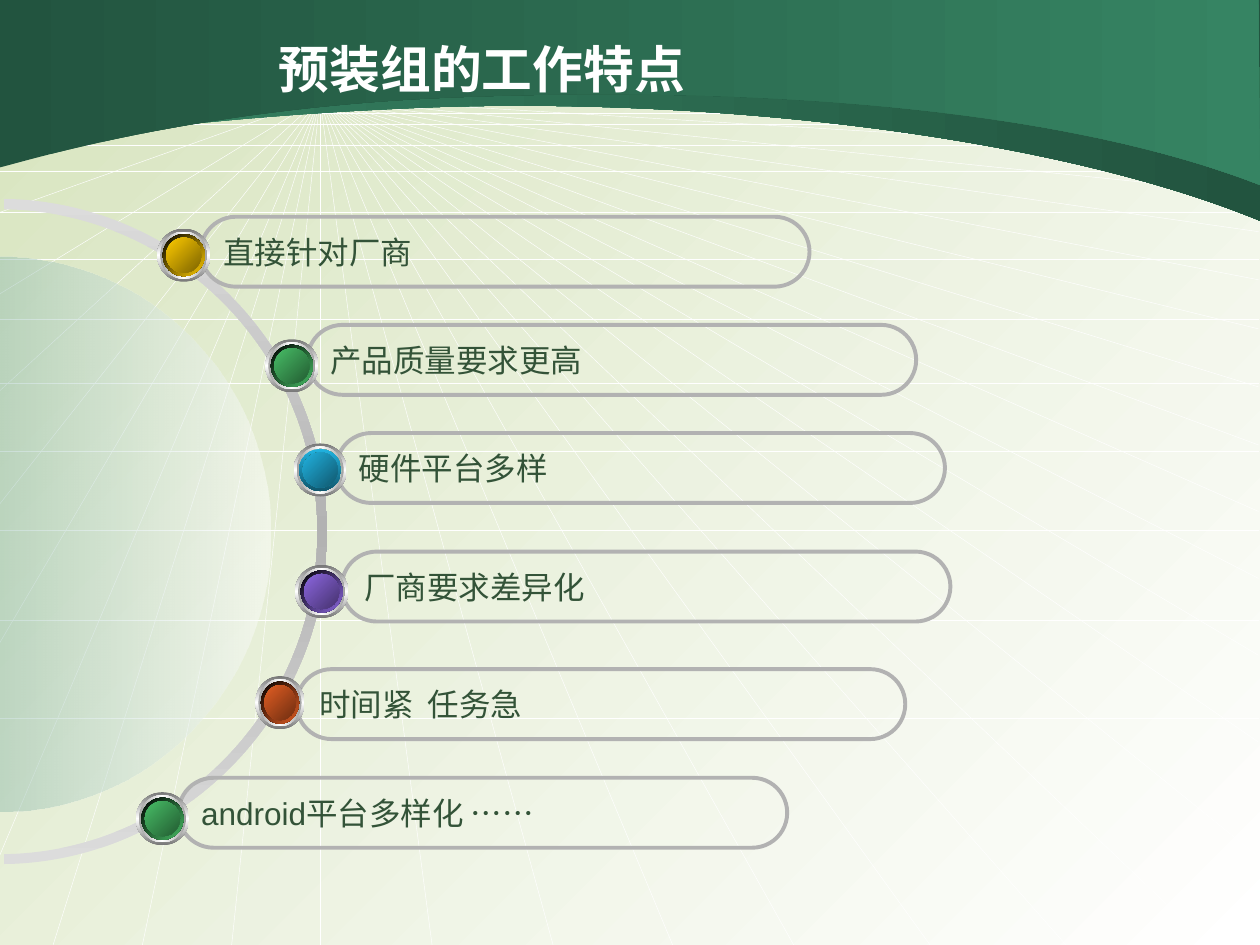
from dataclasses import dataclass

from lxml import etree
from pptx import Presentation
from pptx.dml.color import RGBColor
from pptx.enum.shapes import MSO_CONNECTOR, MSO_SHAPE
from pptx.enum.text import MSO_ANCHOR, PP_ALIGN
from pptx.oxml.ns import qn
from pptx.util import Cm, Pt

LINE = MSO_CONNECTOR.STRAIGHT
OVAL = MSO_SHAPE.OVAL
ROUND = MSO_SHAPE.ROUNDED_RECTANGLE
MIDDLE = MSO_ANCHOR.MIDDLE
LEFT = PP_ALIGN.LEFT
CENTER = PP_ALIGN.CENTER

WIDE, HIGH = 25.4, 19.05
NEAR, FAR = -0.03, 25.37
HUB = (6.45, 1.98)
RIGHT = (2.54, 3.12, 3.91, 4.67, 5.64, 6.63, 7.8, 8.97, 10.31, 11.66, 13.21, 14.96, 17.27)
BASE = (24.38, 21.49, 18.75, 16, 13.56, 11.15, 8.71, 6.45, 4.67, 2.87, 1.07)
SIDE = (1.98, 2.46, 2.95, 4.29, 5.94, 7.9, 10.19, 13, 17.3)
LEVELS = (2.13, 2.29, 2.5, 2.93, 3.45, 4.27, 5.23, 6.43, 7.72, 9.09, 10.69, 12.5, 14.48)


@dataclass(frozen=True)
class Theme:
    white: str = "FFFFFF"
    black: str = "000000"
    pale: str = "D7E4BE"
    green: str = "368463"
    deep: str = "22543F"
    dusk: str = "1D4736"
    mist: str = "9AC1B1"
    ink: str = "335338"
    gray: str = "B2B2B2"
    light: str = "DCDCDC"
    rim: str = "767676"
    bevel: str = "A2A2A2"
    gold: tuple = ("FFCC00", "7C6300")
    leaf: tuple = ("48BE67", "235C32")
    sky: tuple = ("21B3E1", "10576D")
    plum: tuple = ("8D67E1", "45326D")
    rust: tuple = ("E35E23", "6E2E11")
    head: int = 29
    body: int = 18
    thin: float = 0.25
    bold: float = 2.25
    title: str = "DejaVu Sans"
    font: str = "Arial"


def write(frame, text, font, size, color, bold=False, align=LEFT):
    frame.word_wrap = True
    frame.vertical_anchor = MIDDLE
    para = frame.paragraphs[0]
    para.alignment = align
    run = para.add_run()
    run.text = text
    run.font.name = font
    run.font.size = Pt(size)
    run.font.bold = bold
    run.font.color.rgb = RGBColor.from_string(color)


def blend(fill, root, angle, *stops):
    fill.gradient()
    node = next(root.iter(qn("a:gradFill")))
    node.find(qn("a:lin")).set("ang", str(angle * 60000))
    group = node.find(qn("a:gsLst"))
    for old in list(group):
        group.remove(old)
    for index, stop in enumerate(stops):
        color, alpha = stop if isinstance(stop, tuple) else (stop, 100)
        place = index * 100000 // (len(stops) - 1)
        mark = etree.SubElement(group, qn("a:gs"), pos=str(place))
        tone = etree.SubElement(mark, qn("a:srgbClr"), val=color)
        if alpha < 100:
            etree.SubElement(tone, qn("a:alpha"), val=str(alpha * 1000))


def bend(shape, parts):
    for node, part in zip(list(shape.element.iter(qn("a:lnTo"))), parts):
        if len(part) == 2:
            continue
        arc = etree.Element(qn("a:cubicBezTo"))
        for x, y in zip(part[::2], part[1::2]):
            etree.SubElement(arc, qn("a:pt"), x=str(Cm(x) - shape.left),
                             y=str(Cm(y) - shape.top))
        node.getparent().replace(node, arc)


class Deck:
    def __init__(self, slide, theme):
        self.slide = slide
        self.theme = theme
        blend(slide.background.fill, slide.element, 45, theme.pale, theme.white)

    def rays(self, pairs):
        shapes = self.slide.shapes.add_group_shape().shapes
        for start, end in pairs:
            ray = shapes.add_connector(LINE, *map(Cm, start + end))
            ray.line.color.rgb = RGBColor.from_string(self.theme.white)
            ray.line.width = Pt(self.theme.thin)
            etree.SubElement(ray.element.spPr, qn("a:effectLst"))

    def curve(self, start, parts, angle, *stops):
        maker = self.slide.shapes.build_freeform(*map(Cm, start))
        maker.add_line_segments([tuple(map(Cm, part[-2:])) for part in parts], close=True)
        shape = maker.convert_to_shape()
        bend(shape, parts)
        self.paint(shape, angle, *stops)

    def paint(self, shape, angle, *stops):
        shape.shadow.inherit = False
        shape.line.fill.background()
        blend(shape.fill, shape.element, angle, *stops)

    def title(self, text, x, y, w, h):
        box = self.slide.shapes.add_textbox(Cm(x), Cm(y), Cm(w), Cm(h))
        look = self.theme
        write(box.text_frame, text, font=look.title, size=look.head,
              color=look.white, bold=True, align=CENTER)

    def bar(self, text, x, y):
        look = self.theme
        bar = self.slide.shapes.add_shape(ROUND, Cm(x), Cm(y), Cm(12.27), Cm(1.41))
        bar.adjustments[0] = 0.5
        bar.shadow.inherit = False
        bar.fill.background()
        bar.line.color.rgb = RGBColor.from_string(look.gray)
        bar.line.width = Pt(look.bold)
        write(bar.text_frame, text, font=look.font, size=look.body, color=look.ink)

    def knob(self, x, y, w, tones, h=1.07):
        look = self.theme
        shapes = self.slide.shapes.add_group_shape().shapes
        bright, dark = tones
        inner = (90, bright, dark) if tones == look.sky else (45, look.black, bright)
        layers = (
            (0, 90, look.rim, look.white, look.rim),
            (0.06, 0, look.bevel, look.white, look.bevel),
            (0.11, 45, look.white, look.green, look.white),
            (0.11, *inner),
            (0.18, 315, look.dusk, look.green, look.dusk),
            (0.18, 45, bright, dark),
        )
        for inset, angle, *stops in layers:
            oval = shapes.add_shape(OVAL, Cm(x + inset), Cm(y + inset),
                                    Cm(w - 2 * inset), Cm(h - 2 * inset))
            self.paint(oval, angle, *stops)


def main():
    show = Presentation()
    show.slide_width, show.slide_height = Cm(WIDE), Cm(HIGH)
    look = Theme()
    deck = Deck(show.slides.add_slide(show.slide_layouts[6]), look)

    ends = [(FAR, y) for y in RIGHT] + [(x, HIGH) for x in BASE] + [(NEAR, y) for y in SIDE]
    deck.rays([(HUB, end) for end in ends])
    deck.rays([((NEAR, y), (FAR, y)) for y in LEVELS])

    deck.curve((NEAR, 0), [(NEAR, 3.02), (0.28, 3, 3.38, 2.36, 8.81, 2.16),
                           (14.25, 1.98, 21.11, 2.69, WIDE, 4.45), (WIDE, 0)],
               0, look.green, look.deep)
    deck.curve((NEAR, NEAR), [(NEAR, 3.38), (0.28, 3.33, 3.84, 2.16, 9.25, 1.96),
                              (14.66, 1.75, 21.11, 2.06, WIDE, 3.73), (FAR, 0)],
               0, look.deep, look.green)
    deck.title("预装组的工作特点", 4.13, 0.6, 11.18, 1.57)
    deck.curve((0.08, 4.22), [(3.58, 4.27, 6.4, 7.16, 6.4, 10.72),
                              (6.4, 14.27, 3.58, 17.17, 0.08, 17.22), (0.08, 17.42),
                              (3.68, 17.37, 6.6, 14.38, 6.6, 10.72),
                              (6.6, 7.06, 3.68, 4.06, 0.08, 4.01)],
               90, look.light, look.gray, look.light)
    deck.curve((0, 5.18), [(3.02, 5.18, 5.46, 7.67, 5.46, 10.77),
                           (5.46, 13.87, 3.02, 16.36, 0, 16.36)],
               0, (look.mist, 52), (look.white, 48))

    items = (
        ("直接针对厂商", 4.05, 4.37, 3.17, 4.61, 1.07, look.gold),
        ("产品质量要求更高", 6.2, 6.55, 5.35, 6.84, 1.07, look.leaf),
        ("硬件平台多样", 6.78, 8.73, 5.92, 8.94, 1.07, look.sky),
        ("厂商要求差异化", 6.89, 11.12, 5.95, 11.39, 1.07, look.plum),
        ("时间紧  任务急", 5.98, 13.49, 5.15, 13.63, 0.99, look.rust),
        ("android平台多样化 ……", 3.6, 15.68, 2.74, 15.97, 1.07, look.leaf),
    )
    for text, x, y, *knob in items:
        deck.bar(text, x, y)
        deck.knob(*knob)
    show.save("out.pptx")


if __name__ == "__main__":
    main()
